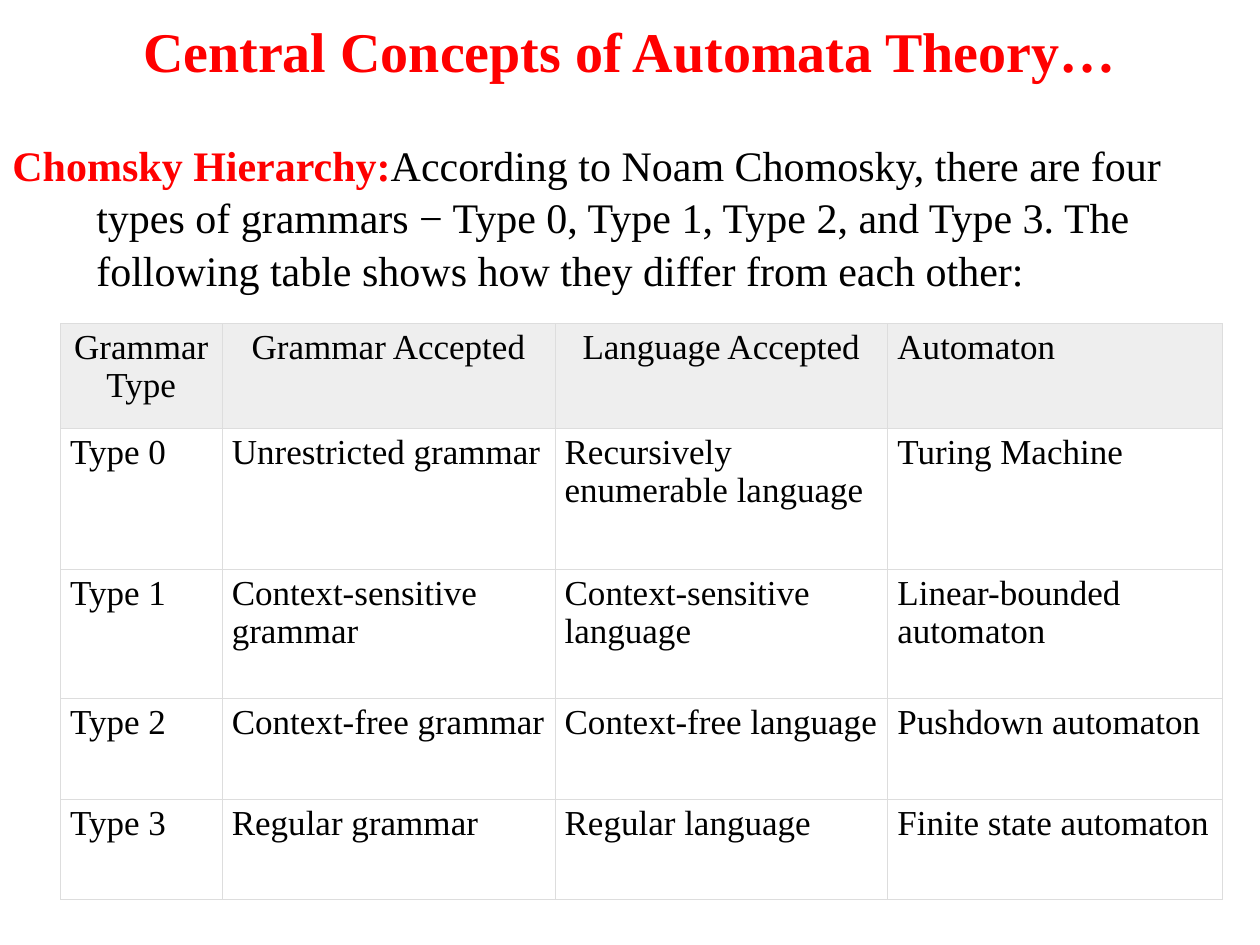
from lxml import etree
from pptx import Presentation
from pptx.dml.color import RGBColor
from pptx.enum.text import MSO_ANCHOR, PP_ALIGN
from pptx.oxml.ns import qn
from pptx.util import Pt

RED, BLACK, GREY, RULE = "FF0000", "000000", "EEEEEE", "DDDDDD"


def add_run(para, words, size, color=BLACK, bold=False):
    run = para.add_run()
    run.text = words
    font = run.font
    font.name, font.size, font.bold = "Times New Roman", Pt(size), bold
    font.color.rgb = RGBColor.from_string(color)


def add_rules(cell):
    """Draw a thin line on all four sides; call before the fill is set."""
    props = cell._tc.get_or_add_tcPr()
    for side in ("lnL", "lnR", "lnT", "lnB"):
        line = etree.SubElement(props, qn("a:" + side), w=str(Pt(0.34)))
        fill = etree.SubElement(line, qn("a:solidFill"))
        etree.SubElement(fill, qn("a:srgbClr"), val=RULE)


prs = Presentation()
prs.slide_width, prs.slide_height = Pt(720), Pt(540)
slide = prs.slides.add_slide(prs.slide_layouts[6])

# Title
frame = slide.shapes.add_textbox(Pt(0), Pt(0), Pt(720), Pt(57)).text_frame
frame.word_wrap = True
frame.vertical_anchor = MSO_ANCHOR.MIDDLE
para = frame.paragraphs[0]
para.alignment = PP_ALIGN.CENTER
add_run(para, "Central Concepts of Automata Theory…", 32, RED, True)

# Introduction with a hanging indent
frame = slide.shapes.add_textbox(Pt(0), Pt(73.5), Pt(720), Pt(96)).text_frame
frame.word_wrap = True
frame.margin_top = Pt(5)
para = frame.paragraphs[0]
para.line_spacing = 1.04
props = para._p.get_or_add_pPr()
props.set("marL", str(Pt(48)))
props.set("indent", str(Pt(-48)))
add_run(para, "Chomsky Hierarchy:", 24, RED, True)
add_run(para, "According to Noam Chomosky, there are four types of grammars − "
        "Type 0, Type 1, Type 2, and Type 3. The following table shows how "
        "they differ from each other:", 24)

# Grammar table
rows = [
    ("Grammar Type", "Grammar Accepted", "Language Accepted", "Automaton"),
    ("Type 0", "Unrestricted grammar", "Recursively enumerable language",
     "Turing Machine"),
    ("Type 1", "Context-sensitive grammar", "Context-sensitive language",
     "Linear-bounded automaton"),
    ("Type 2", "Context-free grammar", "Context-free language",
     "Pushdown automaton"),
    ("Type 3", "Regular grammar", "Regular language",
     "Finite state automaton"),
]
widths = [92.4, 190.2, 190.2, 191.4]
heights = [60, 80.6, 73.8, 57.4, 57.4]

table = slide.shapes.add_table(len(rows), len(widths), Pt(34.5), Pt(184.8),
                               Pt(sum(widths)), Pt(sum(heights))).table
for col, width in zip(table.columns, widths):
    col.width = Pt(width)
for row, height in zip(table.rows, heights):
    row.height = Pt(height)

for r, row in enumerate(rows):
    for c, words in enumerate(row):
        cell = table.cell(r, c)
        add_rules(cell)
        cell.margin_left = cell.margin_right = Pt(5.6)
        cell.margin_top = cell.margin_bottom = Pt(3.6)
        cell.fill.solid()
        shade = GREY if r == 0 else "FFFFFF"
        cell.fill.fore_color.rgb = RGBColor.from_string(shade)
        para = cell.text_frame.paragraphs[0]
        para.line_spacing = 0.97
        if r == 0:
            last = c == len(row) - 1
            para.alignment = PP_ALIGN.JUSTIFY if last else PP_ALIGN.CENTER
        add_run(para, words, 20)

prs.save("out.pptx")
